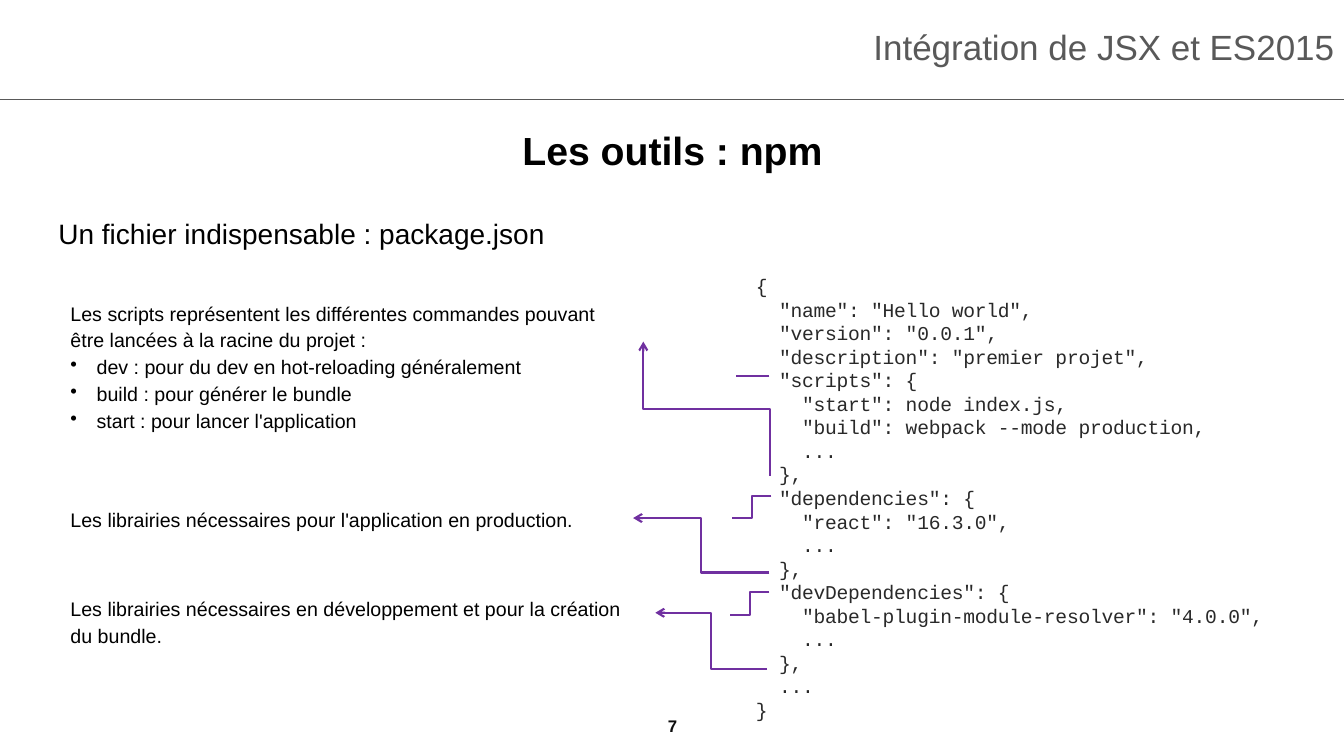
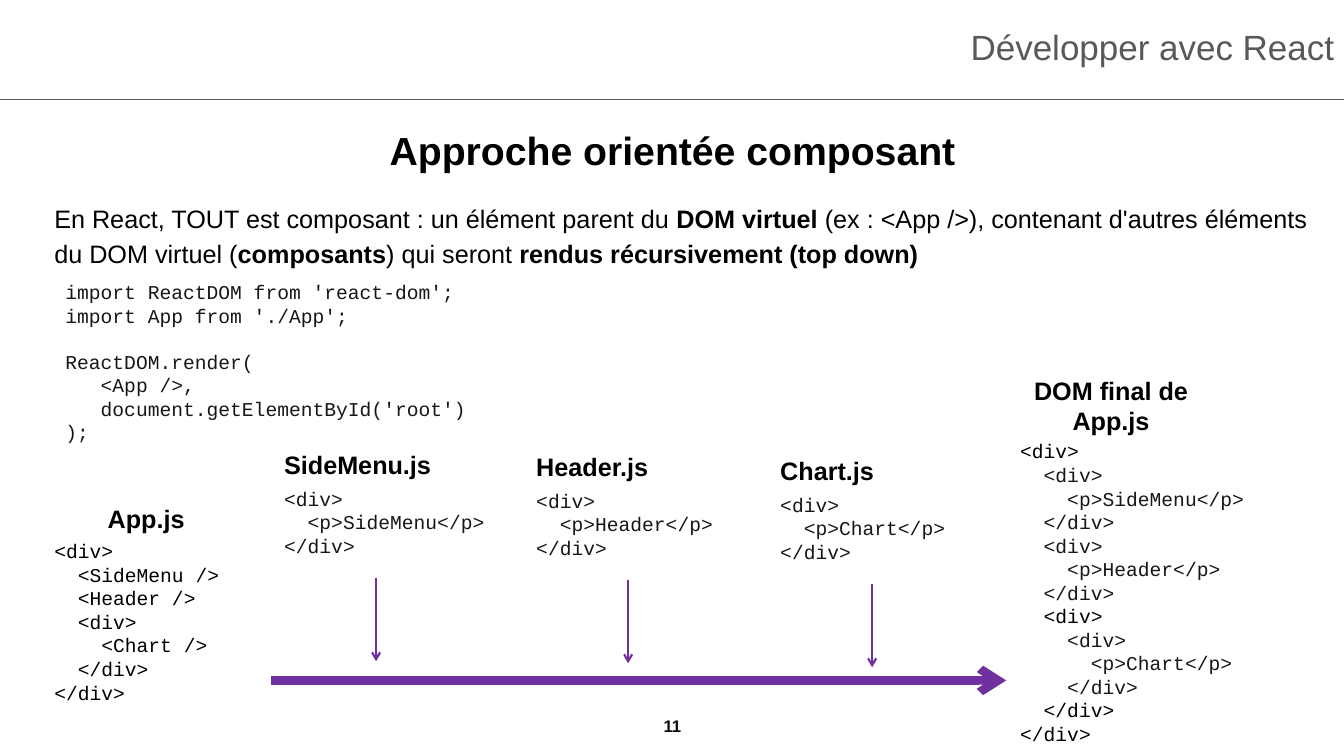
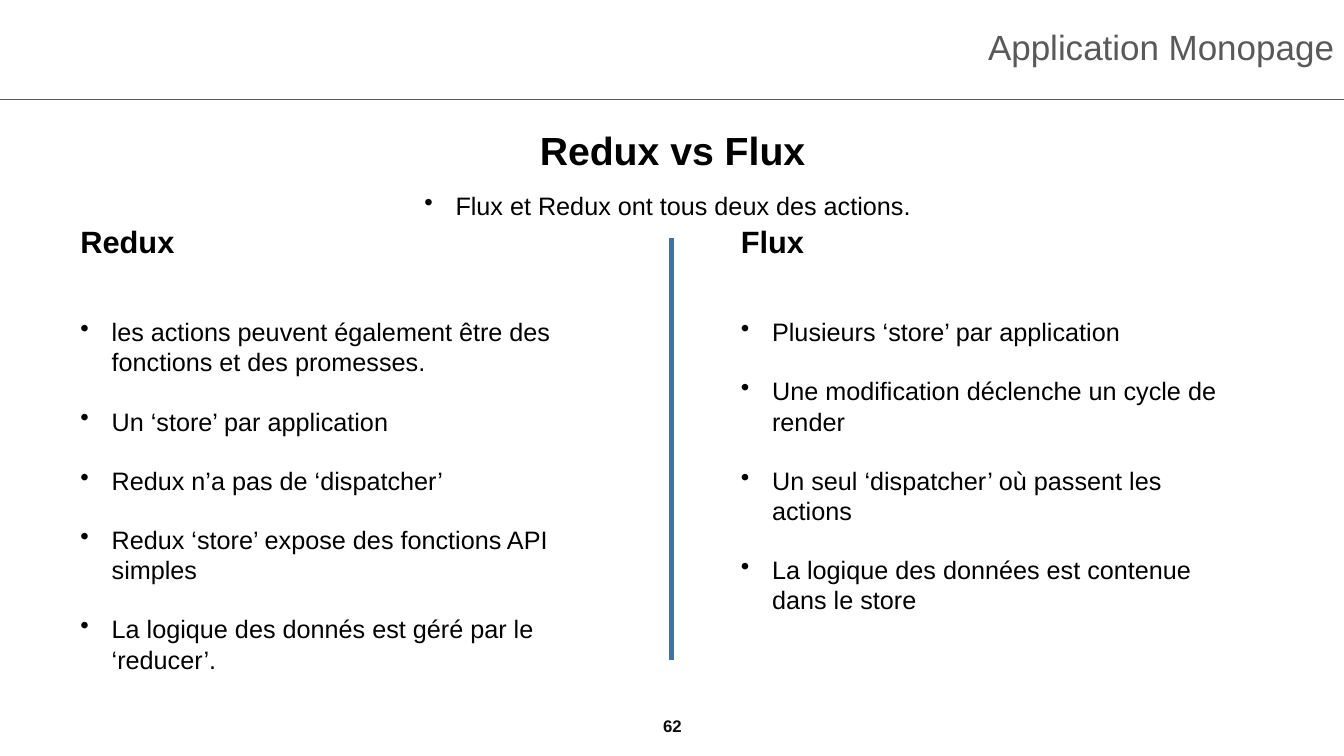
from dataclasses import dataclass

from lxml import etree
from pptx import Presentation
from pptx import util as u
from pptx.dml.color import RGBColor
from pptx.enum import shapes, text
from pptx.oxml.ns import qn

PX = 9144


@dataclass(frozen=True)
class Theme:
    """Colours, fonts and type sizes shared by the slides."""
    black: str = "000000"
    heading: str = "595959"
    number: str = "0D0D0D"
    config: str = "292929"
    code: str = "181717"
    purple: str = "7030A0"
    blue: str = "43729D"
    sans: str = "Arial"
    mono: str = "Courier New"
    chapter_size: int = 25
    title_size: int = 28
    column_size: int = 22
    lead_size: int = 20
    body_size: int = 18
    small_size: int = 14
    number_size: int = 12


THEME = Theme()
LEFT, CENTER, RIGHT = text.PP_ALIGN.LEFT, text.PP_ALIGN.CENTER, text.PP_ALIGN.RIGHT
NORMAL_INSETS = (10, 5)

PACKAGE_JSON = """{
  "name": "Hello world",
  "version": "0.0.1",
  "description": "premier projet",
  "scripts": {
    "start": node index.js,
    "build": webpack --mode production,
    ...
  },
  "dependencies": {
    "react": "16.3.0",
    ...
  },
  "devDependencies": {
    "babel-plugin-module-resolver": "4.0.0",
    ...
  },
  ...
}"""

RENDER_CALL = """import ReactDOM from 'react-dom';
import App from './App';

ReactDOM.render(
   <App />,
   document.getElementById('root')
);"""

APP_MARKUP = """<div>
  <SideMenu />
  <Header />
  <div>
    <Chart />
  </div>
</div>"""


def px(length):
    """Turn a length in px into EMU."""
    return u.Emu(round(length * PX))


def add_bullet(paragraph, indent):
    """Give a paragraph a hanging bullet."""
    properties = paragraph._p.get_or_add_pPr()
    properties.set("marL", str(px(indent)))
    properties.set("indent", str(-px(indent)))
    etree.SubElement(properties, qn("a:buChar")).set("char", "•")


def add_run(paragraph, content, size, font, color, bold, tracking):
    """Append a formatted run to a paragraph."""
    run = paragraph.add_run()
    run.text = content
    run.font.size = u.Pt(size)
    run.font.name = font
    run.font.bold = bold
    run.font.color.rgb = RGBColor.from_string(color)
    if tracking:
        run._r.get_or_add_rPr().set("spc", str(tracking))


def add_text(slide, box, paragraphs, size=THEME.body_size, font=THEME.sans,
             color=THEME.black, bold=False, align=LEFT, middle=False,
             insets=NORMAL_INSETS, line_spacing=None, gap=0, indent=0,
             first_bullet=0, tracking=0):
    """Add a text box; a paragraph is a string or a list of (text, overrides)."""
    frame = slide.shapes.add_textbox(*map(px, box)).text_frame
    frame.word_wrap = True
    frame.vertical_anchor = text.MSO_ANCHOR.MIDDLE if middle else text.MSO_ANCHOR.TOP
    frame.margin_left = frame.margin_right = px(insets[0])
    frame.margin_top = frame.margin_bottom = px(insets[1])
    base = dict(size=size, font=font, color=color, bold=bold, tracking=tracking)
    for index, content in enumerate(paragraphs):
        paragraph = frame.add_paragraph() if index else frame.paragraphs[0]
        if indent and index >= first_bullet:
            add_bullet(paragraph, indent)
        paragraph.alignment = align
        if line_spacing:
            paragraph.line_spacing = line_spacing
        if gap and index:
            paragraph.space_before = u.Pt(gap)
        runs = [(content, {})] if isinstance(content, str) else content
        for words, overrides in runs:
            add_run(paragraph, words, **{**base, **overrides})
    return frame


def add_code(slide, box, lines, color=THEME.code, tracking=0):
    """Add code lines, turning each empty line into space before the next."""
    filled = [line for line in lines if line]
    frame = add_text(slide, box, filled, size=THEME.small_size, font=THEME.mono,
                     color=color, tracking=tracking)
    paragraphs = iter(frame.paragraphs)
    for index, line in enumerate(lines):
        if line:
            paragraph = next(paragraphs)
            if index and not lines[index - 1]:
                paragraph.space_before = u.Pt(16)


def add_line(slide, start, end, color=THEME.purple, width=1.5, arrow=False,
             kind=shapes.MSO_CONNECTOR.STRAIGHT):
    """Add a connector, with an optional arrowhead at its end."""
    connector = slide.shapes.add_connector(kind, *map(px, (*start, *end)))
    connector.line.color.rgb = RGBColor.from_string(color)
    connector.line.width = u.Pt(width)
    if arrow:
        line = connector.line._get_or_add_ln()
        etree.SubElement(line, qn("a:tailEnd")).set("type", "arrow")
    etree.SubElement(connector._element.spPr, qn("a:effectLst"))
    return connector


def add_elbow(slide, start, end, arrow=False, upright=False):
    """Add an elbow connector that leaves sideways, or up when upright."""
    if upright:
        (x1, y1), (x2, y2) = start, end
        middle_x, middle_y = (x1 + x2) / 2, (y1 + y2) / 2
        half_x, half_y = (x1 - x2) / 2, (y1 - y2) / 2
        start = (middle_x - half_y, middle_y + half_x)
        end = (middle_x + half_y, middle_y - half_x)
    connector = add_line(slide, start, end, arrow=arrow,
                         kind=shapes.MSO_CONNECTOR.ELBOW)
    if upright:
        connector._element.spPr.find(qn("a:xfrm")).set("rot", str(270 * 60000))


def add_base(presentation, chapter, title, number):
    """Add a slide with its chapter heading, rule, title and number."""
    slide = presentation.slides.add_slide(presentation.slide_layouts[6])
    add_text(slide, (-11, -1, 1334, 99), [chapter], size=THEME.chapter_size,
             color=THEME.heading, align=RIGHT, middle=True, insets=(0, 0),
             line_spacing=0.9)
    add_text(slide, (167, 99, 1000, 106), [title], size=THEME.title_size,
             bold=True, align=CENTER, middle=True, insets=(0, 0), line_spacing=0.9)
    add_line(slide, (0, 99), (1333, 99), color=THEME.heading, width=0.75)
    add_text(slide, (517, 700, 300, 40), [number], size=THEME.number_size,
             color=THEME.number, bold=True, align=CENTER, middle=True)
    return slide


def add_npm_slide(presentation):
    """Build the slide that explains package.json."""
    slide = add_base(presentation, "Intégration de JSX et ES2015", "Les outils : npm", "7")
    add_text(slide, (48, 205, 1238, 79), ["Un fichier indispensable : package.json"],
             size=THEME.lead_size, line_spacing=1.14)
    add_code(slide, (740, 267, 554, 459), PACKAGE_JSON.split("\n"),
             color=THEME.config, tracking=-20)
    notes = [
        (291, 173, ["Les scripts représentent les différentes commandes pouvant "
                    "être lancées à la racine du projet :",
                    "dev : pour du dev en hot-reloading généralement",
                    "build : pour générer le bundle",
                    "start : pour lancer l'application"]),
        (496, 76, ["Les librairies nécessaires pour l'application en production."]),
        (584, 76, ["Les librairies nécessaires en développement et pour la "
                   "création du bundle."]),
    ]
    for top, height, paragraphs in notes:
        add_text(slide, (60, top, 578, height), paragraphs, size=THEME.small_size,
                 line_spacing=1.14, indent=26, first_bullet=1)
    add_line(slide, (763, 373), (730, 373))
    add_elbow(slide, (764, 472), (638, 339), arrow=True, upright=True)
    add_elbow(slide, (765, 492), (726, 514))
    add_elbow(slide, (763, 568), (628, 514), arrow=True)
    add_elbow(slide, (763, 587), (724, 610))
    add_elbow(slide, (761, 664), (650, 608), arrow=True)


def component_markup(name):
    """Return the markup lines of a component."""
    return ["<div>", f"  <p>{name}</p>", "</div>"]


def nested_markup(name, depth):
    """Return the indented markup of a component as coloured code lines."""
    return [[(" " * depth + line, {"color": THEME.code})]
            for line in component_markup(name)]


def add_component(slide, name, left, top):
    """Add a component's file name, its markup and a downward arrow."""
    add_text(slide, (left, top, 194, 39), [f"{name}.js"], bold=True)
    add_code(slide, (left, top + 37, 222, 85), component_markup(name))
    add_line(slide, (left + 101, top + 132), (left + 101, top + 215), arrow=True)


def add_component_slide(presentation):
    """Build the slide on the component approach."""
    slide = add_base(presentation, "Développer avec React", "Approche orientée composant", "11")
    strong = {"bold": True}
    add_text(slide, (44, 193, 1277, 46), [[
        ("En React, TOUT est composant : un élément parent du ", {}),
        ("DOM virtuel", strong),
        (" (ex : <App />), contenant d'autres éléments du DOM virtuel (", {}),
        ("composants", strong),
        (") qui seront ", {}),
        ("rendus récursivement (top down)", strong),
    ]], line_spacing=1.14)
    add_code(slide, (55, 273, 418, 178), RENDER_CALL.split("\n"))
    add_text(slide, (53, 494, 184, 40), ["App.js"], bold=True, align=CENTER)
    add_code(slide, (44, 530, 327, 182), APP_MARKUP.split("\n"), color=THEME.black)
    add_line(slide, (269, 675), (998, 675), width=6, arrow=True)
    for name, left, top in (("SideMenu", 272, 441), ("Header", 522, 443),
                            ("Chart", 764, 447)):
        add_component(slide, name, left, top)
    add_text(slide, (1010, 367, 184, 70), ["DOM final de App.js"], bold=True, align=CENTER)
    final_markup = ["<div>", *nested_markup("SideMenu", 2), *nested_markup("Header", 2),
                    "  <div>", *nested_markup("Chart", 4), "  </div>", "</div>"]
    add_code(slide, (1002, 431, 327, 321), final_markup, color=THEME.black)


def add_column(slide, left, heading, points):
    """Add a heading with its spaced list of points."""
    add_text(slide, (left, 216, 513, 46), [heading], size=THEME.column_size, bold=True)
    add_text(slide, (left, 309, 514, 370), points, indent=31, gap=20.7)


def add_comparison_slide(presentation):
    """Build the slide that compares Redux and Flux."""
    slide = add_base(presentation, "Application Monopage", "Redux vs Flux", "62")
    add_text(slide, (411, 184, 514, 70), ["Flux et Redux ont tous deux des actions."],
             indent=31)
    add_line(slide, (666, 236), (666, 655), color=THEME.blue, width=3)
    add_column(slide, 70, "Redux", [
        "les actions peuvent également être des fonctions et des promesses.",
        "Un ‘store’ par application",
        "Redux n’a pas de ‘dispatcher’",
        "Redux ‘store’ expose des fonctions API simples",
        "La logique des donnés est géré par le ‘reducer’.",
    ])
    add_column(slide, 725, "Flux", [
        "Plusieurs ‘store’ par application",
        "Une modification déclenche un cycle de render",
        "Un seul ‘dispatcher’ où passent les actions",
        "La logique des données est contenue dans le store",
    ])


def main():
    """Build and save the presentation."""
    presentation = Presentation()
    presentation.slide_width = px(1333)
    presentation.slide_height = px(750)
    add_npm_slide(presentation)
    add_component_slide(presentation)
    add_comparison_slide(presentation)
    presentation.save("out.pptx")


if __name__ == "__main__":
    main()
